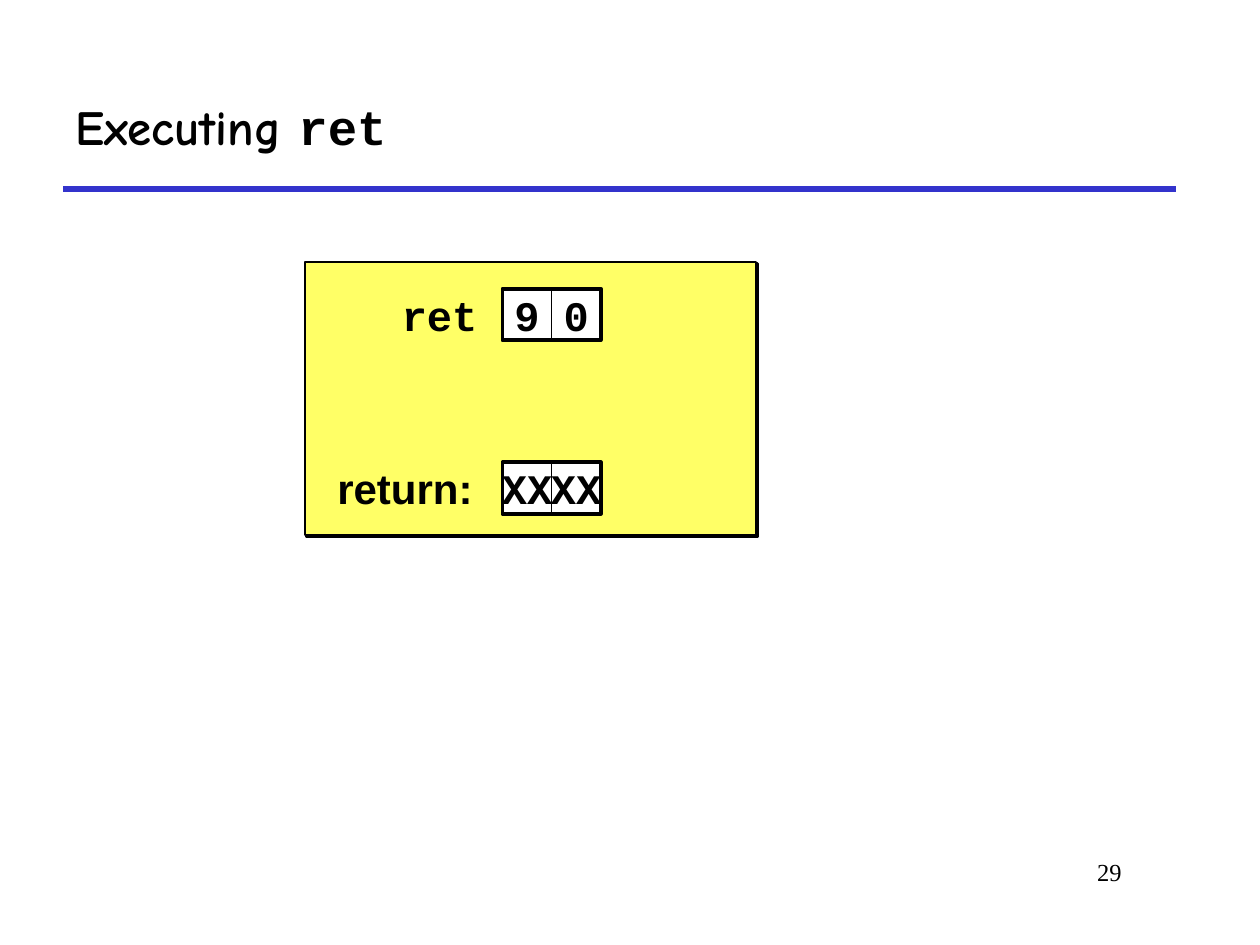
from lxml import etree
from pptx import Presentation
from pptx.dml.color import RGBColor
from pptx.enum.shapes import MSO_CONNECTOR, MSO_SHAPE
from pptx.enum.text import MSO_ANCHOR, PP_ALIGN
from pptx.oxml import parse_xml
from pptx.oxml.ns import qn
from pptx.util import Cm, Pt

RECTANGLE = MSO_SHAPE.RECTANGLE
STRAIGHT = MSO_CONNECTOR.STRAIGHT
TOP, MIDDLE = MSO_ANCHOR.TOP, MSO_ANCHOR.MIDDLE
LEFT, CENTER, RIGHT = PP_ALIGN.LEFT, PP_ALIGN.CENTER, PP_ALIGN.RIGHT

BLACK, WHITE, BLUE, YELLOW = "000000", "FFFFFF", "3333CC", "FFFF66"
TITLE_FONT, CODE_FONT = "Comic Neue", "Courier New"
LABEL_FONT, NUMBER_FONT = "Arial", "Times New Roman"

CELL_LEFT, CELL_WIDTH, CELL_HEIGHT = 10.13, 0.99, 1.04
HARD_SHADOW = (
    '<a:effectLst xmlns:a="http://schemas.openxmlformats.org/drawingml/2006/main">'
    '<a:outerShdw blurRad="0" dist="17800" dir="2700000" algn="ctr" rotWithShape="0">'
    '<a:srgbClr val="000000"/></a:outerShdw></a:effectLst>'
)


def color(code):
    """Turn a hex string into a colour."""
    return RGBColor.from_string(code)


def write(shape, spans, size, bold=True, align=LEFT, anchor=MIDDLE):
    """Write (text, font) spans as the only paragraph of a shape."""
    frame = shape.text_frame
    frame.vertical_anchor = anchor
    para = frame.paragraphs[0]
    para.alignment = align
    for text, font in spans:
        span = para.add_run()
        span.text = text
        span.font.name = font
        span.font.size = Pt(size)
        span.font.bold = bold
        span.font.color.rgb = color(BLACK)


def add_text(shapes, left, top, width, height, spans, size, **style):
    """Add a wrapping text box."""
    box = shapes.add_textbox(Cm(left), Cm(top), Cm(width), Cm(height))
    box.text_frame.word_wrap = True
    write(box, spans, size, **style)


def add_rectangle(shapes, left, top, width, height, fill, line_width):
    """Add a black-edged rectangle, hollow when fill is None."""
    box = shapes.add_shape(RECTANGLE, Cm(left), Cm(top), Cm(width), Cm(height))
    box.shadow.inherit = False
    if fill:
        box.fill.solid()
        box.fill.fore_color.rgb = color(fill)
    else:
        box.fill.background()
    box.line.color.rgb = color(BLACK)
    box.line.width = Pt(line_width)
    return box


def add_panel(shapes):
    """Add the yellow panel with its hard shadow."""
    panel = add_rectangle(shapes, 6.15, 5.28, 9.09, 5.51, YELLOW, 1.5)
    properties = panel._element.spPr
    properties.replace(properties.find(qn("a:effectLst")), parse_xml(HARD_SHADOW))


def add_byte_row(shapes, top, label, font, label_left, label_width, values):
    """Add a label followed by a framed row of cells."""
    add_text(shapes, label_left, top, label_width, CELL_HEIGHT, [(label, font)], 24)
    for index, value in enumerate(values):
        left = CELL_LEFT + index * CELL_WIDTH
        cell = add_rectangle(shapes, left, top, CELL_WIDTH, CELL_HEIGHT, WHITE, 0.5)
        cell.text_frame.word_wrap = False
        write(cell, [(value, CODE_FONT)], 24, align=CENTER)
    frame_width = CELL_WIDTH * len(values)
    add_rectangle(shapes, CELL_LEFT, top, frame_width, CELL_HEIGHT, None, 2.25)


def add_rule(shapes):
    """Add the blue rule under the title."""
    rule = shapes.add_connector(STRAIGHT, Cm(1.27), Cm(3.81), Cm(23.7), Cm(3.81))
    rule.line.color.rgb = color(BLUE)
    rule.line.width = Pt(3)
    etree.SubElement(rule._element.spPr, qn("a:effectLst"))


def main():
    """Build and save the slide."""
    deck = Presentation()
    deck.slide_width, deck.slide_height = Cm(25.4), Cm(19.05)
    page = deck.slides.add_slide(deck.slide_layouts[6])
    add_rule(page.shapes)
    add_text(page.shapes, 19.25, 17.15, 3.61, 1.27, [("29", NUMBER_FONT)], 14,
             bold=False, align=RIGHT, anchor=TOP)
    title = [("Executing ", TITLE_FONT), ("ret", CODE_FONT)]
    add_text(page.shapes, 1.27, 1.27, 22.43, 2.54, title, 28)

    diagram = page.shapes.add_group_shape().shapes
    add_panel(diagram)
    add_byte_row(diagram, 5.82, "ret", CODE_FONT, 7.85, 2.72, ["9", "0"])
    add_byte_row(diagram, 9.32, "return:", LABEL_FONT, 6.55, 3.63, ["XX", "XX"])
    deck.save("out.pptx")


if __name__ == "__main__":
    main()
